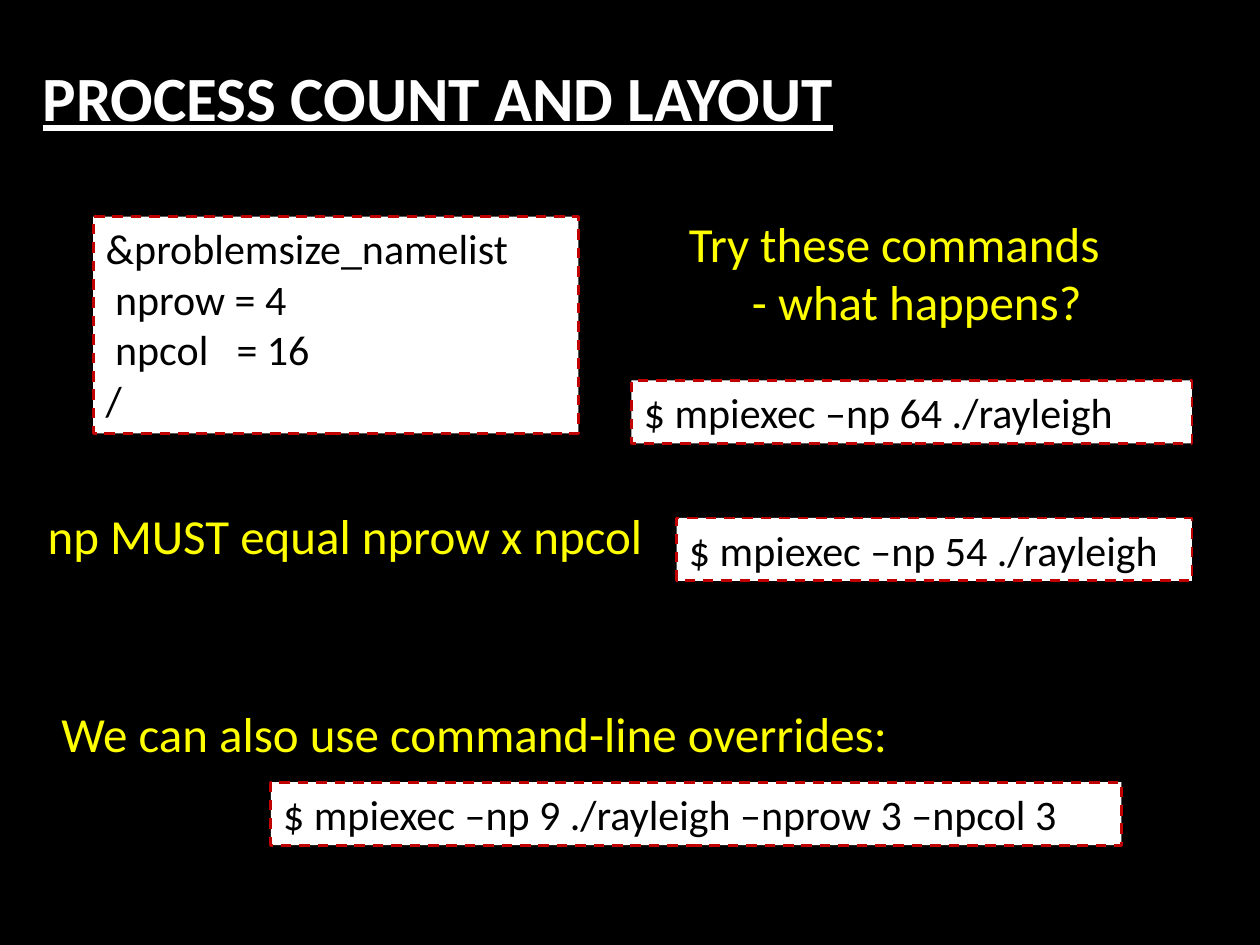
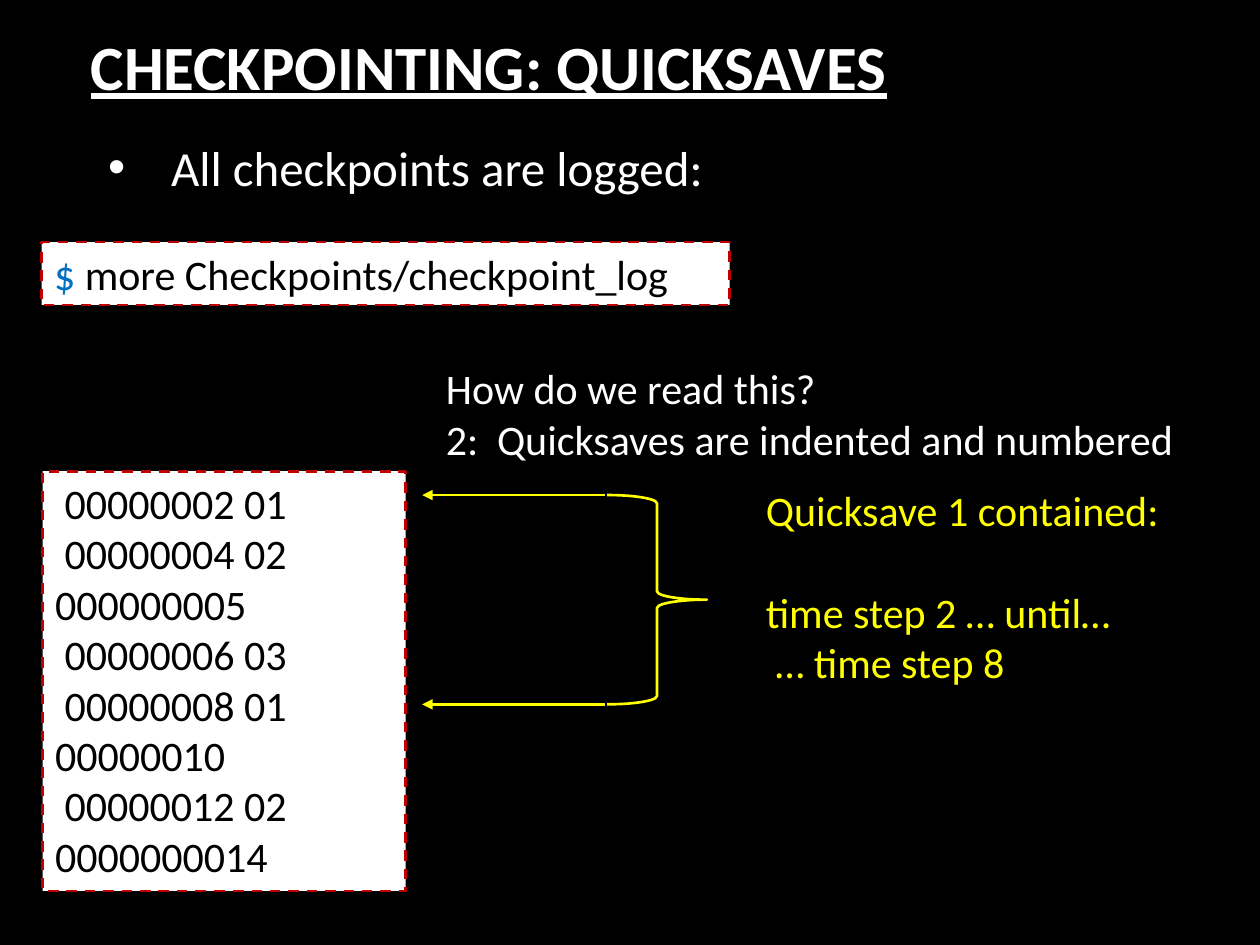
from dataclasses import dataclass

import pptx
import pptx.dml.color
import pptx.enum.dml
import pptx.enum.shapes
import pptx.enum.text
import pptx.oxml
import pptx.oxml.ns
import pptx.util
from pptx.util import Cm

BLACK = pptx.dml.color.RGBColor(0x00, 0x00, 0x00)
WHITE = pptx.dml.color.RGBColor(0xFF, 0xFF, 0xFF)
YELLOW = pptx.dml.color.RGBColor(0xFF, 0xFF, 0x00)
RED = pptx.dml.color.RGBColor(0xC0, 0x00, 0x00)
BLUE = pptx.dml.color.RGBColor(0x00, 0x70, 0xC0)

FONT = "Calibri"
TITLE_SIZE, LABEL_SIZE, CODE_SIZE = 36, 28, 24
LINE_WIDTH = pptx.util.Pt(1.5)
COMMAND_HEIGHT = 1.27
LABEL_HEIGHT = 1.45


@dataclass
class Box:
    left: float
    top: float
    width: float
    height: float

    def inside(self, right, down, width, height):
        return Box(self.left + right, self.top + down, width, height)

    def lengths(self):
        return Cm(self.left), Cm(self.top), Cm(self.width), Cm(self.height)


def add_xml(parent, tag, **attributes):
    child = pptx.oxml.parse_xml(f"<a:{tag} {pptx.oxml.ns.nsdecls('a')}/>")
    for name, value in attributes.items():
        child.set(name, str(value))
    parent.append(child)
    return child


def write_lines(frame, lines, size, color, tab=None):
    frame.vertical_anchor = pptx.enum.text.MSO_ANCHOR.TOP
    for number, line in enumerate(lines):
        para = frame.paragraphs[0] if number == 0 else frame.add_paragraph()
        para.alignment = pptx.enum.text.PP_ALIGN.LEFT
        if tab:
            stops = add_xml(para._p.get_or_add_pPr(), "tabLst")
            add_xml(stops, "tab", pos=Cm(tab), algn="l")
        spans = [(line, color)] if isinstance(line, str) else line
        for text, span_color in spans:
            span = para.add_run()
            span.text = text
            span.font.name = FONT
            span.font.size = pptx.util.Pt(size)
            span.font.color.rgb = span_color


def add_label(page, box, lines, size=LABEL_SIZE, color=YELLOW, tab=None):
    label = page.shapes.add_textbox(*box.lengths())
    label.text_frame.word_wrap = False
    label.text_frame.auto_size = pptx.enum.text.MSO_AUTO_SIZE.SHAPE_TO_FIT_TEXT
    write_lines(label.text_frame, lines, size, color, tab)
    return label.text_frame


def add_code(page, box, lines, tab=None):
    code = page.shapes.add_shape(
        pptx.enum.shapes.MSO_SHAPE.RECTANGLE, *box.lengths())
    code.shadow.inherit = False
    code.fill.solid()
    code.fill.fore_color.rgb = WHITE
    code.line.color.rgb = RED
    code.line.width = LINE_WIDTH
    code.line.dash_style = pptx.enum.dml.MSO_LINE.DASH
    code.text_frame.word_wrap = True
    write_lines(code.text_frame, lines, CODE_SIZE, BLACK, tab)


def add_page(deck, title, title_box):
    page = deck.slides.add_slide(deck.slide_layouts[6])
    page.background.fill.solid()
    page.background.fill.fore_color.rgb = BLACK
    frame = add_label(page, title_box, [title], TITLE_SIZE, WHITE)
    frame.auto_size = pptx.enum.text.MSO_AUTO_SIZE.NONE
    frame.word_wrap = True
    frame.vertical_anchor = pptx.enum.text.MSO_ANCHOR.MIDDLE
    font = frame.paragraphs[0].runs[0].font
    font.bold = font.underline = True
    return page


def add_problem_size(page, box):
    add_code(page, box.inside(1.17, 0, 9.78, 4.37),
             ["&problemsize_namelist", " nprow = 4", " npcol\t= 16", "/"],
             tab=2.64)
    add_label(page, box.inside(0, 5.69, box.width, LABEL_HEIGHT),
              ["np MUST equal nprow x npcol"])


def add_trial_commands(page, box):
    add_label(page, box.inside(0.91, 0, 9.8, 2.64),
              ["Try these commands", "\t- what happens?"])
    for count, indent, down in ((64, 0, 3.5), (54, 0.91, 6.27)):
        add_code(page,
                 box.inside(indent, down, box.width - indent, COMMAND_HEIGHT),
                 [f"$ mpiexec –np {count} ./rayleigh"])


def add_overrides(page, box):
    add_label(page, box.inside(0, 0, 17.35, LABEL_HEIGHT),
              ["We can also use command-line overrides:"])
    add_code(page, box.inside(4.47, 1.72, 17.15, COMMAND_HEIGHT),
             ["$ mpiexec –np 9 ./rayleigh –nprow 3 –npcol 3"])


def add_log_command(page, box):
    frame = add_label(page, box.inside(1.34, 0, 22, 1.2),
                      ["All checkpoints are logged:"], color=WHITE)
    frame.word_wrap = True
    frame.margin_left = frame.margin_top = 0
    frame.margin_right = frame.margin_bottom = 0
    settings = frame.paragraphs[0]._p.get_or_add_pPr()
    settings.set("marL", str(Cm(1.27)))
    settings.set("indent", str(-Cm(1.27)))
    add_xml(settings, "buFont", typeface="Arial")
    add_xml(settings, "buChar", char="•")
    add_code(page, box.inside(0, 2.11, box.width, COMMAND_HEIGHT),
             [[("$", BLUE), (" more Checkpoints/checkpoint_log", BLACK)]])


def add_arrow(page, start, end, height):
    arrow = page.shapes.add_connector(
        pptx.enum.shapes.MSO_CONNECTOR.STRAIGHT,
        Cm(start), Cm(height), Cm(end), Cm(height))
    arrow.line.color.rgb = YELLOW
    arrow.line.width = LINE_WIDTH
    add_xml(arrow.line._get_or_add_ln(), "tailEnd", type="triangle")
    add_xml(arrow._element.spPr, "effectLst")


def add_quicksave_span(page, box):
    for height in (box.top, box.top + box.height):
        add_arrow(page, box.left + 3.68, box.left, height)
    brace = page.shapes.add_shape(
        pptx.enum.shapes.MSO_SHAPE.RIGHT_BRACE,
        *box.inside(3.73, 0, 2.01, box.height).lengths())
    brace.shadow.inherit = False
    brace.fill.background()
    brace.line.color.rgb = YELLOW
    brace.line.width = LINE_WIDTH
    frame = add_label(
        page, box.inside(6.68, -0.33, 8.51, 4.4),
        ["Quicksave 1 contained:", "time step 2 … until…", " … time step 8"],
        CODE_SIZE)
    frame.paragraphs[1].space_before = pptx.util.Pt(29)


def add_checkpoint_log(page, box):
    add_code(page, box.inside(0, 2.31, 7.32, 8.46),
             [" 00000002 01", " 00000004 02", "000000005", " 00000006 03",
              " 00000008 01", "00000010", " 00000012 02", "0000000014"])
    add_label(page, box.inside(7.88, 0, 15.32, 2.31),
              ["How do we read this?",
               "2:\tQuicksaves are indented and numbered"],
              CODE_SIZE, WHITE, tab=1.03)
    add_quicksave_span(page, box.inside(7.65, 2.79, 15.19, 4.22))


def add_process_page(deck):
    page = add_page(deck, "PROCESS COUNT AND LAYOUT", Box(0.61, 0.84, 21.59, 2.2))
    add_problem_size(page, Box(0.71, 4.37, 12.65, 7.14))
    add_trial_commands(page, Box(12.73, 4.17, 11.3, 7.54))
    add_overrides(page, Box(0.99, 14.05, 21.62, 2.99))


def add_checkpoint_page(deck):
    page = add_page(deck, "CHECKPOINTING: QUICKSAVES", Box(1.58, 0.21, 19.05, 2.2))
    add_log_command(page, Box(0.84, 2.77, 13.87, 3.38))
    add_checkpoint_log(page, Box(0.86, 7.19, 23.2, 10.77))


def main():
    deck = pptx.Presentation()
    deck.slide_width, deck.slide_height = Cm(25.4), Cm(19.05)
    add_process_page(deck)
    add_checkpoint_page(deck)
    deck.save("out.pptx")


if __name__ == "__main__":
    main()
